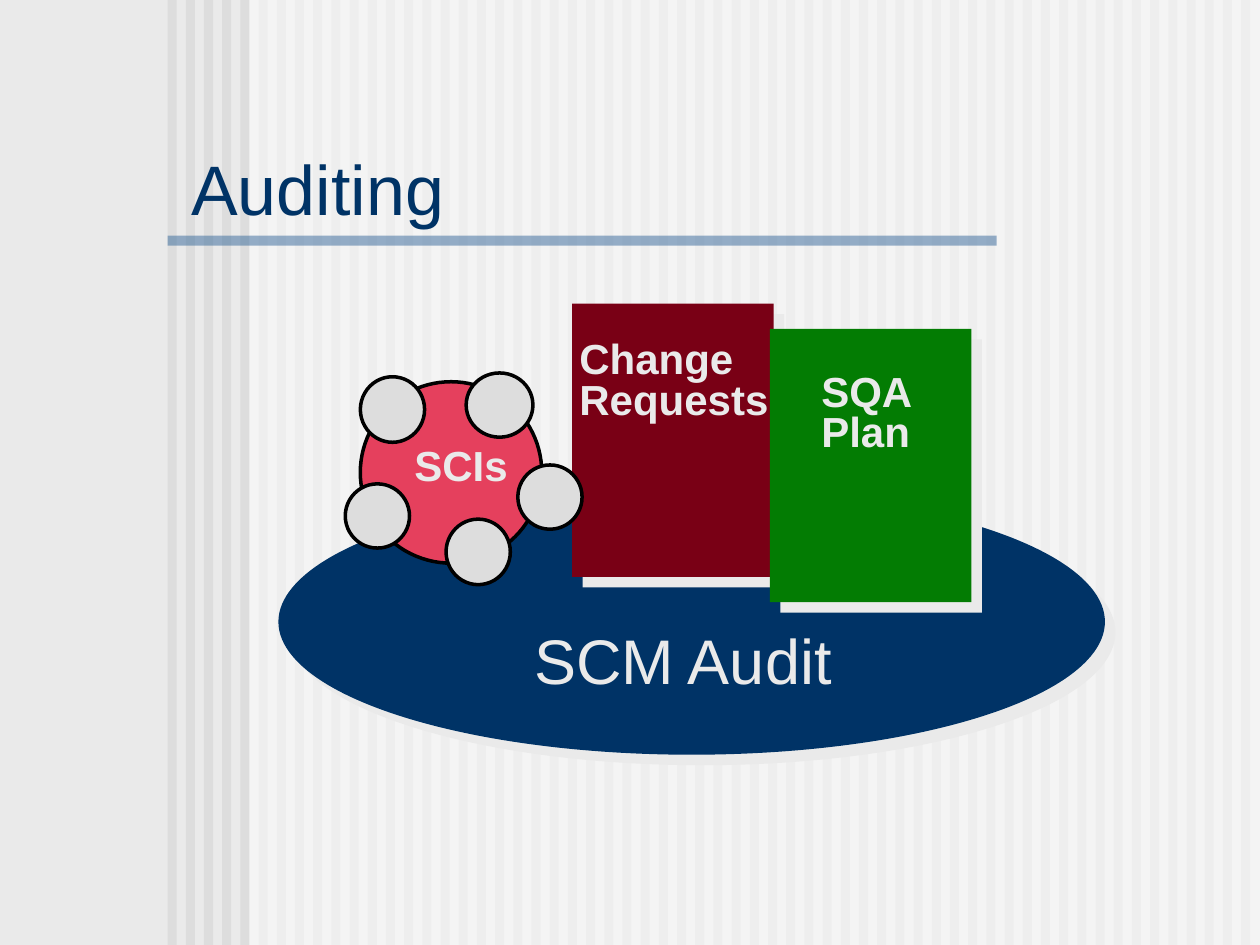
from typing import NamedTuple, Optional

from lxml import etree
from pptx import Presentation
from pptx import util as u
from pptx.dml.color import RGBColor
from pptx.enum import shapes, text
from pptx.oxml.ns import qn

GREY = RGBColor(0xEA, 0xEA, 0xEA)
STRIPE = RGBColor(0xDD, 0xDD, 0xDD)
WHITE = RGBColor(0xFF, 0xFF, 0xFF)
BLACK = RGBColor(0x00, 0x00, 0x00)
NAVY = RGBColor(0x00, 0x33, 0x66)
STEEL = RGBColor(0x33, 0x66, 0x99)
MAROON = RGBColor(0x79, 0x00, 0x15)
GREEN = RGBColor(0x03, 0x7C, 0x03)
ROSE = RGBColor(0xE5, 0x40, 0x5D)

# The slide is a grid of 100 columns by 75 rows
WIDTH, HEIGHT = u.Inches(10), u.Inches(7.5)
COLUMNS, ROWS = 100, 75
STRIPE_COUNT, STRIPE_START, STRIPE_END = 60, 13.3, 98.5

RECTANGLE = shapes.MSO_SHAPE.RECTANGLE
OVAL = shapes.MSO_SHAPE.OVAL


class Box(NamedTuple):
    column: float
    row: float
    columns: float
    rows: float

    def lengths(self) -> tuple:
        across, down = WIDTH / COLUMNS, HEIGHT / ROWS
        return (round(self.column * across), round(self.row * down),
                round(self.columns * across), round(self.rows * down))


class Figure(NamedTuple):
    box: Box
    fill: RGBColor
    kind: shapes.MSO_SHAPE = RECTANGLE
    outline: Optional[RGBColor] = None
    shadow: bool = False
    alpha: int = 100


class Label(NamedTuple):
    box: Box
    wording: str
    size: int
    color: RGBColor = GREY
    bold: bool = False
    spacing: float = 1.0
    wrap: bool = False


def add_shadow(shape) -> None:
    effects = shape._element.spPr.find(qn("a:effectLst"))
    outer = etree.SubElement(effects, qn("a:outerShdw"), dist=str(u.Pt(8.5)),
                             dir="2700000", algn="ctr", rotWithShape="0")
    etree.SubElement(outer, qn("a:srgbClr"), val=str(GREY))


def draw_figure(slide, figure: Figure) -> None:
    shape = slide.shapes.add_shape(figure.kind, *figure.box.lengths())
    shape.shadow.inherit = False
    shape.fill.solid()
    shape.fill.fore_color.rgb = figure.fill
    if figure.alpha < 100:
        color = shape._element.spPr.find(qn("a:solidFill"))[0]
        etree.SubElement(color, qn("a:alpha"), val=str(figure.alpha * 1000))
    if figure.outline is None:
        shape.line.fill.background()
    else:
        shape.line.color.rgb = figure.outline
        shape.line.width = u.Pt(2)
    if figure.shadow:
        add_shadow(shape)


def draw_label(slide, label: Label) -> None:
    frame = slide.shapes.add_textbox(*label.box.lengths()).text_frame
    frame.word_wrap = label.wrap
    if label.wrap:
        frame.vertical_anchor = text.MSO_ANCHOR.MIDDLE
    else:
        frame.auto_size = text.MSO_AUTO_SIZE.SHAPE_TO_FIT_TEXT
    frame.text = label.wording
    for paragraph in frame.paragraphs:
        paragraph.line_spacing = label.spacing
        for run in paragraph.runs:
            run.font.name = "Arial"
            run.font.size = u.Pt(label.size)
            run.font.bold = label.bold
            run.font.color.rgb = label.color


def main() -> None:
    presentation = Presentation()
    presentation.slide_width, presentation.slide_height = WIDTH, HEIGHT
    slide = presentation.slides.add_slide(presentation.slide_layouts[6])
    slide.background.fill.solid()
    slide.background.fill.fore_color.rgb = GREY

    # Striped backdrop, its pale veil and the rule under the title
    pitch = (STRIPE_END - STRIPE_START) / (STRIPE_COUNT - 1)
    for index in range(STRIPE_COUNT):
        stripe = Box(STRIPE_START + index * pitch, 0, pitch / 2, ROWS)
        draw_figure(slide, Figure(stripe, STRIPE))
    draw_figure(slide, Figure(Box(19.8, 0, 80.2, ROWS), WHITE, alpha=50))
    draw_figure(slide, Figure(Box(13.3, 18.7, 65.8, 0.8), STEEL, alpha=50))

    # Audit base, title and the two documents
    draw_figure(slide, Figure(Box(22.1, 38.8, 65.6, 21.1), NAVY, OVAL, shadow=True))
    draw_label(slide, Label(Box(14.2, 11.7, 70.8, 6.4), "Auditing", 40, NAVY, wrap=True))
    draw_figure(slide, Figure(Box(45.4, 24.1, 16, 21.7), MAROON, shadow=True))
    draw_figure(slide, Figure(Box(61.1, 26.1, 16, 21.7), GREEN, shadow=True))

    # Configuration items: a core with five satellites
    draw_figure(slide, Figure(Box(28.6, 30.3, 14.4, 14.4), ROSE, OVAL, BLACK))
    draw_label(slide, Label(Box(31.9, 34.4, 9.4, 5), "SCIs", 24, bold=True))
    satellites = (
        Box(35.4, 41.2, 5.1, 5.2),
        Box(41.1, 36.9, 5.1, 5.1),
        Box(37, 29.6, 5.3, 5.1),
        Box(28.6, 29.9, 5.1, 5.2),
        Box(27.4, 38.4, 5.1, 5.1),
    )
    for satellite in satellites:
        draw_figure(slide, Figure(satellite, STRIPE, OVAL, BLACK))

    # Captions
    captions = (
        Label(Box(45, 26.7, 17, 7.4), "Change\nRequests", 24, bold=True, spacing=0.8),
        Label(Box(64.2, 29.3, 9.2, 7.4), "SQA\nPlan", 24, bold=True, spacing=0.8),
        Label(Box(41.4, 48.8, 25.9, 7), "SCM Audit", 36),
    )
    for caption in captions:
        draw_label(slide, caption)

    presentation.save("out.pptx")


if __name__ == "__main__":
    main()
